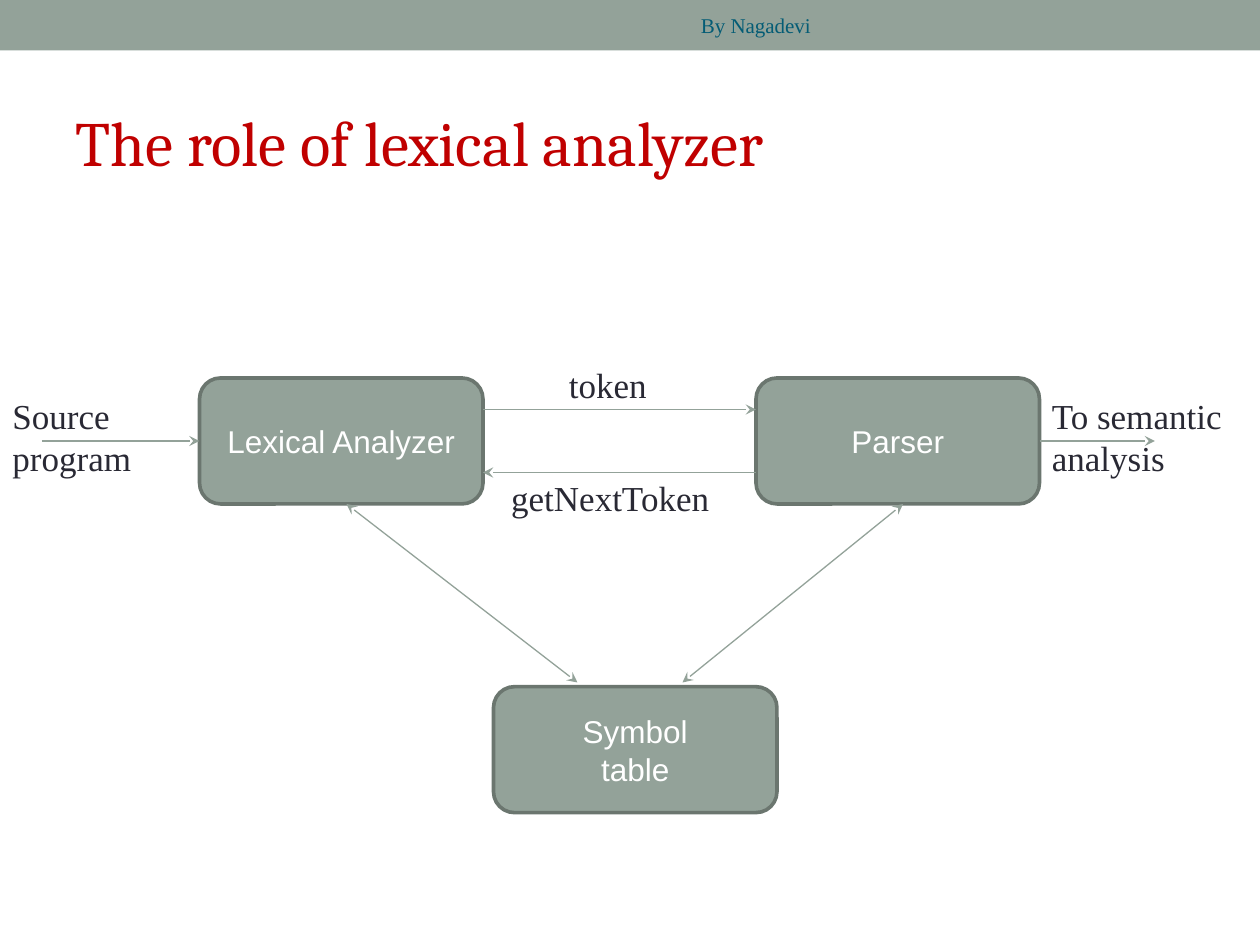
from dataclasses import dataclass

from lxml.etree import SubElement
from pptx import Presentation
from pptx.dml.color import RGBColor
from pptx.enum.shapes import MSO_CONNECTOR as Connector
from pptx.enum.shapes import MSO_SHAPE as Preset
from pptx.enum.text import MSO_ANCHOR as Anchor
from pptx.enum.text import MSO_AUTO_SIZE as AutoSize
from pptx.enum.text import PP_ALIGN as Align
from pptx.oxml.ns import qn
from pptx.util import Inches, Pt


@dataclass(frozen=True)
class Theme:
    sage: str = "93A299"
    outline: str = "6B766F"
    title: str = "C00000"
    ink: str = "292934"
    byline: str = "045C75"
    light: str = "FFFFFF"
    title_size: int = 36
    label_size: int = 20
    node_size: int = 18
    byline_size: int = 12
    title_font: str = "Cambria"
    node_font: str = "Arial"
    label_font: str = "Times New Roman"


@dataclass(frozen=True)
class Area:
    column: float
    row: float
    columns: float
    rows: float


@dataclass(frozen=True)
class Node:
    text: str
    column: float
    row: float


@dataclass(frozen=True)
class Label:
    text: str
    area: Area


@dataclass(frozen=True)
class Arrow:
    start: tuple[float, float]
    end: tuple[float, float]
    both_ends: bool = False


THEME = Theme()

# The grid has twelve cells to the inch: 120 columns by 90 rows
COLUMNS, ROWS = 120, 90
NODE_COLUMNS, NODE_ROWS = 27, 12

NODES = [
    Node("Lexical Analyzer", 19, 36),
    Node("Parser", 72, 36),
    Node("Symbol\ntable", 47, 65.4),
]
ARROWS = [
    Arrow((4, 42), (19, 42)),
    Arrow((46, 39), (72, 39)),
    Arrow((72, 45), (46, 45)),
    Arrow((99, 42), (110, 42)),
    Arrow((33, 48), (55, 65), both_ends=True),
    Arrow((86, 48), (65, 65), both_ends=True),
]
LABELS = [
    Label("Source\nprogram", Area(0, 37, 13.8, 9.2)),
    Label("token", Area(53, 34, 9.8, 5.3)),
    Label("getNextToken", Area(47.5, 44.8, 21.5, 5.3)),
    Label("To semantic\nanalysis", Area(99, 37, 18.7, 9.2)),
]


def cells(count: float) -> int:
    return Inches(count / 12)


def bounds(area: Area) -> tuple[int, ...]:
    return tuple(map(cells, (area.column, area.row, area.columns, area.rows)))


def write(box, text: str, *, font: str, size: int, color: str,
          align=Align.LEFT, anchor=Anchor.TOP, wrap: bool = True) -> None:
    frame = box.text_frame
    frame.text = text
    frame.word_wrap = wrap
    frame.vertical_anchor = anchor
    for para in frame.paragraphs:
        para.alignment = align
        for span in para.runs:
            span.font.name = font
            span.font.size = Pt(size)
            span.font.color.rgb = RGBColor.from_string(color)


def add_block(page, preset, area: Area):
    block = page.shapes.add_shape(preset, *bounds(area))
    block.shadow.inherit = False
    block.fill.solid()
    block.fill.fore_color.rgb = RGBColor.from_string(THEME.sage)
    block.line.fill.background()
    return block


def add_node(page, node: Node) -> None:
    area = Area(node.column, node.row, NODE_COLUMNS, NODE_ROWS)
    block = add_block(page, Preset.ROUNDED_RECTANGLE, area)
    block.line.color.rgb = RGBColor.from_string(THEME.outline)
    block.line.width = Pt(2.08)
    write(block, node.text, font=THEME.node_font, size=THEME.node_size,
          color=THEME.light, align=Align.CENTER, anchor=Anchor.MIDDLE)


def add_arrow(page, arrow: Arrow) -> None:
    points = map(cells, (*arrow.start, *arrow.end))
    connector = page.shapes.add_connector(Connector.STRAIGHT, *points)
    connector.line.color.rgb = RGBColor.from_string(THEME.sage)
    connector.line.width = Pt(0.75)
    outline = connector.line._get_or_add_ln()
    for end in ("a:headEnd", "a:tailEnd") if arrow.both_ends else ("a:tailEnd",):
        SubElement(outline, qn(end), type="stealth")
    SubElement(connector._element.spPr, qn("a:effectLst"))


def add_label(page, label: Label) -> None:
    box = page.shapes.add_textbox(*bounds(label.area))
    write(box, label.text, font=THEME.label_font, size=THEME.label_size,
          color=THEME.ink, wrap=False)
    box.text_frame.auto_size = AutoSize.SHAPE_TO_FIT_TEXT


def main() -> None:
    deck = Presentation()
    deck.slide_width, deck.slide_height = cells(COLUMNS), cells(ROWS)
    page = deck.slides.add_slide(deck.slide_layouts[5])

    # Top band and byline
    add_block(page, Preset.RECTANGLE, Area(0, 0, COLUMNS, 4.8))
    byline = page.shapes.add_textbox(*bounds(Area(45, 0.25, 54, 4.3)))
    write(byline, "By Nagadevi", font=THEME.label_font, size=THEME.byline_size,
          color=THEME.byline, align=Align.CENTER, anchor=Anchor.MIDDLE)

    # Title
    title = page.shapes.title
    title.left, title.top, title.width, title.height = bounds(Area(6, 7, 108, 13))
    write(title, "The role of lexical analyzer", font=THEME.title_font,
          size=THEME.title_size, color=THEME.title, anchor=Anchor.MIDDLE)

    # Diagram
    for node in NODES:
        add_node(page, node)
    for arrow in ARROWS:
        add_arrow(page, arrow)
    for label in LABELS:
        add_label(page, label)

    deck.save("out.pptx")


if __name__ == "__main__":
    main()
